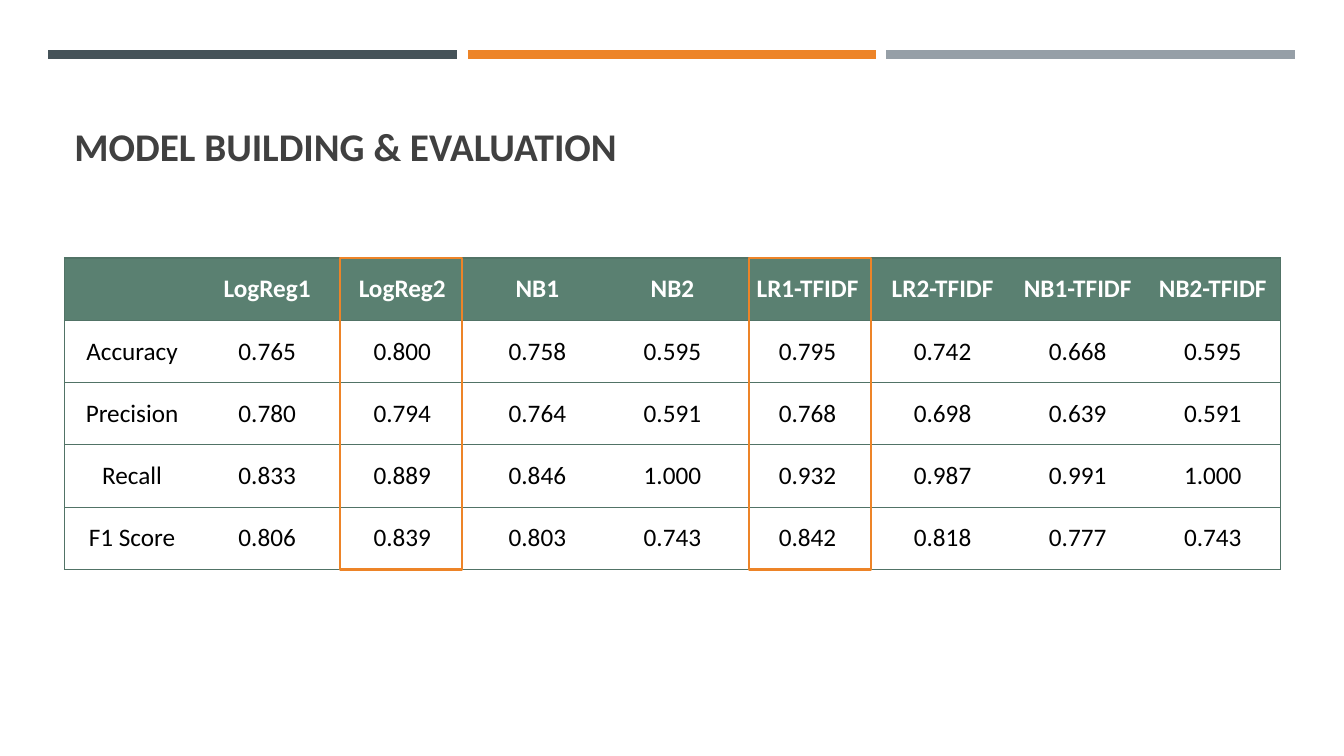
from dataclasses import dataclass

from lxml.etree import SubElement
from pptx import Presentation
from pptx.dml.color import RGBColor
from pptx.enum.shapes import MSO_CONNECTOR, MSO_SHAPE
from pptx.enum.text import MSO_ANCHOR, PP_ALIGN
from pptx.oxml import parse_xml
from pptx.oxml.ns import nsdecls, qn
from pptx.slide import Slide
from pptx.table import _Cell
from pptx.util import Inches, Pt


@dataclass(frozen=True)
class Theme:
    font: str = "Calibri"
    title: int = 28
    body: int = 18
    dark: str = "404040"
    black: str = "000000"
    white: str = "FFFFFF"
    slate: str = "465359"
    orange: str = "ED8428"
    gray: str = "969FA7"
    head: str = "5A8071"
    rule: str = "517366"


@dataclass(frozen=True)
class Bar:
    left: float
    color: str


@dataclass(frozen=True)
class Mark:
    left: float


THEME = Theme()
BARS = [Bar(0.48, THEME.slate), Bar(4.64, THEME.orange), Bar(8.79, THEME.gray)]
MARKS = [Mark(3.37), Mark(7.43)]
LEFT, TOP, WIDTH, HEIGHT = 0.64, 2.56, 12.06, 3.09

SCORES = [
    ["", "LogReg1", "LogReg2", "NB1", "NB2",
     "LR1-TFIDF", "LR2-TFIDF", "NB1-TFIDF", "NB2-TFIDF"],
    ["Accuracy", "0.765", "0.800", "0.758", "0.595", "0.795", "0.742", "0.668", "0.595"],
    ["Precision", "0.780", "0.794", "0.764", "0.591", "0.768", "0.698", "0.639", "0.591"],
    ["Recall", "0.833", "0.889", "0.846", "1.000", "0.932", "0.987", "0.991", "1.000"],
    ["F1 Score", "0.806", "0.839", "0.803", "0.743", "0.842", "0.818", "0.777", "0.743"],
]


def rgb(color: str) -> RGBColor:
    return RGBColor.from_string(color)


def style(para, size: int, color: str, bold: bool) -> None:
    font = para.font
    font.name, font.size, font.bold = THEME.font, Pt(size), bold
    font.color.rgb = rgb(color)


def add_bar(slide: Slide, bar: Bar) -> None:
    y = Inches(0.54)
    line = slide.shapes.add_connector(
        MSO_CONNECTOR.STRAIGHT, Inches(bar.left), y, Inches(bar.left + 4.05), y)
    line.line.color.rgb = rgb(bar.color)
    line.line.width = Pt(6.5)
    SubElement(line._element.spPr, qn("a:effectLst"))


def add_title(slide: Slide, text: str) -> None:
    box = slide.shapes.add_textbox(
        Inches(LEFT), Inches(0.65), Inches(WIDTH), Inches(1.08))
    frame = box.text_frame
    frame.word_wrap = True
    frame.vertical_anchor = MSO_ANCHOR.BOTTOM
    frame.text = text
    style(frame.paragraphs[0], THEME.title, THEME.dark, True)


def set_edges(cell: _Cell, shown: str) -> None:
    """Draw the sides named in shown and clear the others."""
    props = cell._tc.get_or_add_tcPr()
    for spot, side in enumerate("LRTB"):
        fill = (f'<a:solidFill><a:srgbClr val="{THEME.rule}"/></a:solidFill>'
                if side in shown else "<a:noFill/>")
        props.insert(spot, parse_xml(
            f'<a:ln{side} {nsdecls("a")} w="{Pt(1)}">{fill}</a:ln{side}>'))


def add_scores(slide: Slide) -> None:
    rows, cols = len(SCORES), len(SCORES[0])
    table = slide.shapes.add_table(
        rows, cols, Inches(LEFT), Inches(TOP), Inches(WIDTH), Inches(HEIGHT)).table
    table.horz_banding = False
    for r, row in enumerate(SCORES):
        for c, text in enumerate(row):
            cell = table.cell(r, c)
            cell.vertical_anchor = MSO_ANCHOR.MIDDLE
            cell.text = text
            para = cell.text_frame.paragraphs[0]
            para.alignment = PP_ALIGN.CENTER
            style(para, THEME.body, THEME.black if r else THEME.white, r == 0)
            if r:
                cell.fill.background()
            else:
                cell.fill.solid()
                cell.fill.fore_color.rgb = rgb(THEME.head)
            sides = "TB" + "L" * (c == 0) + "R" * (c == cols - 1)
            set_edges(cell, sides)


def add_mark(slide: Slide, mark: Mark) -> None:
    frame = slide.shapes.add_shape(
        MSO_SHAPE.RECTANGLE, Inches(mark.left), Inches(TOP),
        Inches(1.21), Inches(HEIGHT))
    frame.shadow.inherit = False
    frame.fill.background()
    frame.line.color.rgb = rgb(THEME.orange)
    frame.line.width = Pt(1.75)


def main() -> None:
    deck = Presentation()
    deck.slide_width, deck.slide_height = Inches(13.33), Inches(7.5)
    slide = deck.slides.add_slide(deck.slide_layouts[6])

    # Top bars and title
    for bar in BARS:
        add_bar(slide, bar)
    add_title(slide, "MODEL BUILDING & EVALUATION")

    # Scores, with the best models framed
    add_scores(slide)
    for mark in MARKS:
        add_mark(slide, mark)

    deck.save("out.pptx")


if __name__ == "__main__":
    main()
